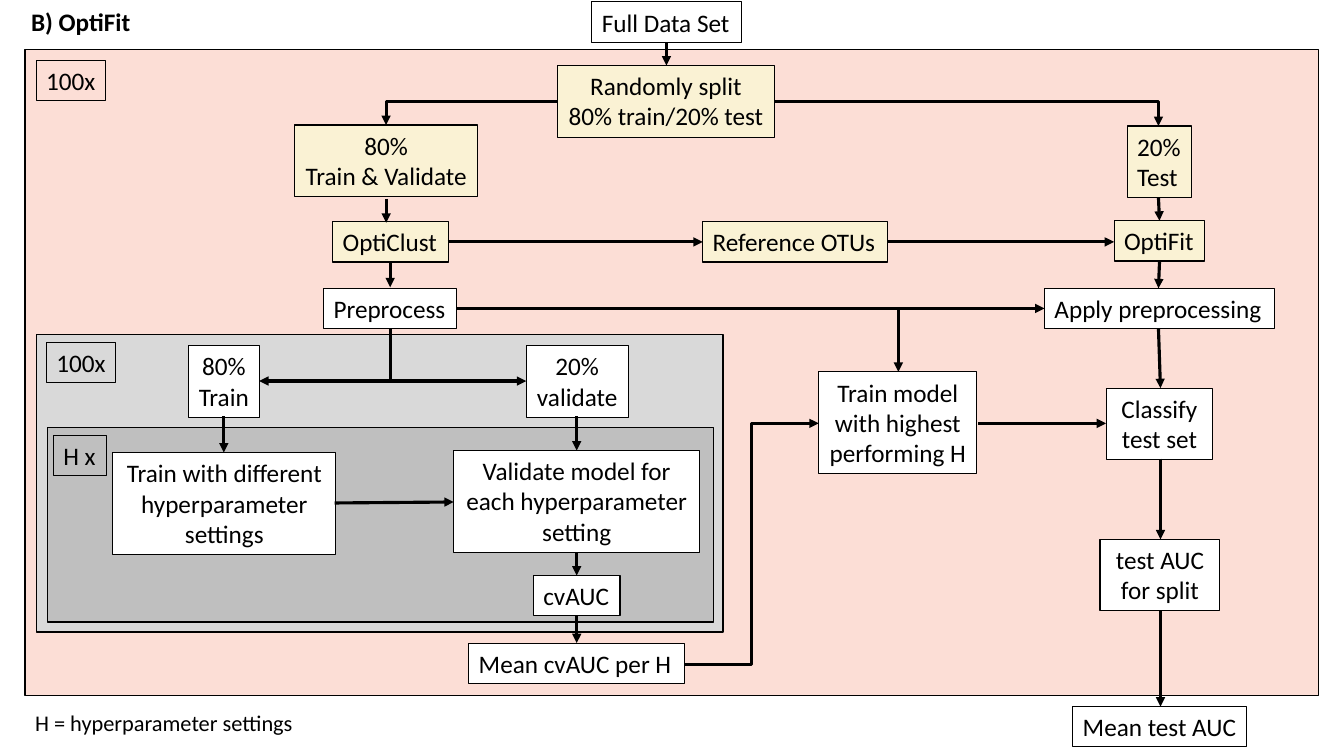
from dataclasses import dataclass
from enum import Enum
from typing import Optional

from lxml.etree import SubElement
from pptx import Presentation
from pptx.dml.color import RGBColor
from pptx.enum.shapes import MSO_CONNECTOR, MSO_SHAPE
from pptx.enum.text import MSO_AUTO_SIZE, PP_ALIGN
from pptx.oxml.ns import qn
from pptx.slide import Slide
from pptx.util import Emu, Pt

EMU_PER_PX = 9144  # 100 px to the inch
FONT = "Calibri"

BLACK = RGBColor(0x00, 0x00, 0x00)
WHITE = RGBColor(0xFF, 0xFF, 0xFF)
CREAM = RGBColor(0xFA, 0xF2, 0xD4)
SALMON = RGBColor(0xFB, 0xC0, 0xAF)
LIGHT_GREY = RGBColor(0xD9, 0xD9, 0xD9)
MID_GREY = RGBColor(0xBF, 0xBF, 0xBF)


class Route(Enum):
    STRAIGHT = "straight"
    ACROSS_THEN_DOWN = "across then down"
    DOWN_THEN_ACROSS = "down then across"
    MIDWAY = "midway"


@dataclass(frozen=True)
class Frame:
    left: int
    top: int
    width: int
    height: int
    fill: RGBColor
    opacity: int = 100


@dataclass(frozen=True)
class Label:
    text: str
    left: int
    top: int
    width: int
    height: int = 40
    fill: Optional[RGBColor] = WHITE
    centred: bool = False
    wrap: bool = False
    outlined: bool = True
    size: int = 18
    bold: bool = False


@dataclass(frozen=True)
class Arrow:
    start_x: int
    start_y: int
    end_x: int
    end_y: int
    route: Route = Route.STRAIGHT


FRAMES = [
    Frame(25, 49, 1283, 641, SALMON, opacity=51),
    Frame(36, 332, 681, 295, LIGHT_GREY),
    Frame(47, 424, 661, 193, MID_GREY),
]

LABELS = [
    Label("B) OptiFit", 21, 1, 120, fill=None, outlined=False, bold=True),
    Label("H = hyperparameter settings", 25, 699, 280, 37, fill=None, outlined=False, size=16),
    Label("100x", 36, 60, 69, fill=None),
    Label("100x", 46, 340, 69, fill=None),
    Label("H x", 53, 432, 53, fill=None),
    Label("Full Data Set", 587, 2, 148),
    Label("Randomly split\n80% train/20% test", 553, 65, 215, 71, CREAM, centred=True),
    Label("80%\nTrain & Validate", 292, 124, 182, 71, CREAM, centred=True),
    Label("20%\nTest", 1118, 125, 64, 71, CREAM),
    Label("OptiClust", 330, 220, 115, fill=CREAM),
    Label("Reference OTUs", 697, 220, 183, fill=CREAM),
    Label("OptiFit", 1105, 219, 90, fill=CREAM),
    Label("Preprocess", 321, 286, 132),
    Label("Apply preprocessing", 1036, 286, 228),
    Label("80%\nTrain", 187, 343, 70, 71, centred=True),
    Label("20%\nvalidate", 522, 343, 101, 71, centred=True),
    Label("Train with different hyperparameter settings", 112, 449, 221, 101, centred=True, wrap=True),
    Label("Validate model for each hyperparameter setting", 450, 447, 244, 101, centred=True, wrap=True),
    Label("cvAUC", 529, 571, 86),
    Label("Mean cvAUC per H", 465, 638, 214),
    Label("Train model with highest performing H", 812, 369, 157, 101, centred=True, wrap=True),
    Label("Classify test set", 1097, 385, 106, 71, centred=True, wrap=True),
    Label("test AUC for split", 1091, 535, 119, 71, centred=True, wrap=True),
    Label("Mean test AUC", 1064, 701, 172),
]

ARROWS = [
    Arrow(661, 42, 661, 65),
    Arrow(553, 101, 383, 124, Route.ACROSS_THEN_DOWN),
    Arrow(769, 101, 1149, 125, Route.ACROSS_THEN_DOWN),
    Arrow(383, 197, 383, 221),
    Arrow(387, 261, 387, 285),
    Arrow(444, 240, 697, 240),
    Arrow(880, 240, 1105, 240),
    Arrow(1149, 196, 1150, 219),
    Arrow(1150, 260, 1149, 286),
    Arrow(1149, 326, 1151, 385),
    Arrow(453, 306, 1036, 306),
    Arrow(453, 306, 891, 369, Route.ACROSS_THEN_DOWN),
    Arrow(387, 326, 257, 378, Route.DOWN_THEN_ACROSS),
    Arrow(387, 326, 522, 378, Route.DOWN_THEN_ACROSS),
    Arrow(222, 413, 222, 449),
    Arrow(572, 413, 572, 447),
    Arrow(332, 499, 450, 498),
    Arrow(572, 548, 572, 571),
    Arrow(572, 611, 572, 638),
    Arrow(679, 659, 812, 420, Route.MIDWAY),
    Arrow(970, 420, 1097, 420),
    Arrow(1151, 455, 1151, 535),
    Arrow(1151, 606, 1151, 701),
]


def px(length: float) -> Emu:
    return Emu(round(length * EMU_PER_PX))


def draw_frame(page: Slide, frame: Frame) -> None:
    shape = page.shapes.add_shape(
        MSO_SHAPE.RECTANGLE, px(frame.left), px(frame.top), px(frame.width), px(frame.height)
    )
    shape.shadow.inherit = False
    shape.fill.solid()
    shape.fill.fore_color.rgb = frame.fill
    shape.line.color.rgb = BLACK
    shape.line.width = Pt(1)
    if frame.opacity < 100:
        colour = shape.fill._xPr.find(qn("a:solidFill"))[0]
        SubElement(colour, qn("a:alpha"), val=str(frame.opacity * 1000))


def draw_label(page: Slide, label: Label) -> None:
    box = page.shapes.add_textbox(
        px(label.left), px(label.top), px(label.width), px(label.height)
    )
    if label.fill is not None:
        box.fill.solid()
        box.fill.fore_color.rgb = label.fill
    if label.outlined:
        box.line.color.rgb = BLACK
        box.line.width = Pt(0.75)
    frame = box.text_frame
    frame.word_wrap = label.wrap
    frame.auto_size = MSO_AUTO_SIZE.SHAPE_TO_FIT_TEXT
    for index, line in enumerate(label.text.split("\n")):
        para = frame.add_paragraph() if index else frame.paragraphs[0]
        para.alignment = PP_ALIGN.CENTER if label.centred else PP_ALIGN.LEFT
        span = para.add_run()
        span.text = line
        span.font.name = FONT
        span.font.size = Pt(label.size)
        span.font.bold = label.bold
        span.font.color.rgb = BLACK


def draw_arrow(page: Slide, arrow: Arrow) -> None:
    """Draw a connector; one that leaves downwards is an across-then-down one turned by 90°."""
    start_x, start_y, end_x, end_y = arrow.start_x, arrow.start_y, arrow.end_x, arrow.end_y
    turned = arrow.route is Route.DOWN_THEN_ACROSS
    if turned:
        centre_x, centre_y = (start_x + end_x) / 2, (start_y + end_y) / 2
        half_width, half_height = (end_x - start_x) / 2, (end_y - start_y) / 2
        start_x, end_x = centre_x - half_height, centre_x + half_height
        start_y, end_y = centre_y + half_width, centre_y - half_width
    kind = MSO_CONNECTOR.STRAIGHT if arrow.route is Route.STRAIGHT else MSO_CONNECTOR.ELBOW
    connector = page.shapes.add_connector(kind, px(start_x), px(start_y), px(end_x), px(end_y))
    properties = connector._element.spPr
    if arrow.route in (Route.ACROSS_THEN_DOWN, Route.DOWN_THEN_ACROSS):
        properties.find(qn("a:prstGeom")).set("prst", "bentConnector2")
    if turned:
        properties.find(qn("a:xfrm")).set("rot", str(90 * 60000))
    connector.line.color.rgb = BLACK
    connector.line.width = Pt(2.25)
    SubElement(connector.line._get_or_add_ln(), qn("a:tailEnd"), type="triangle")
    SubElement(properties, qn("a:effectLst"))


def main() -> None:
    deck = Presentation()
    deck.slide_width, deck.slide_height = px(1333), px(750)
    page = deck.slides.add_slide(deck.slide_layouts[6])
    for frame in FRAMES:
        draw_frame(page, frame)
    for label in LABELS:
        draw_label(page, label)
    for arrow in ARROWS:
        draw_arrow(page, arrow)
    deck.save("out.pptx")


if __name__ == "__main__":
    main()
